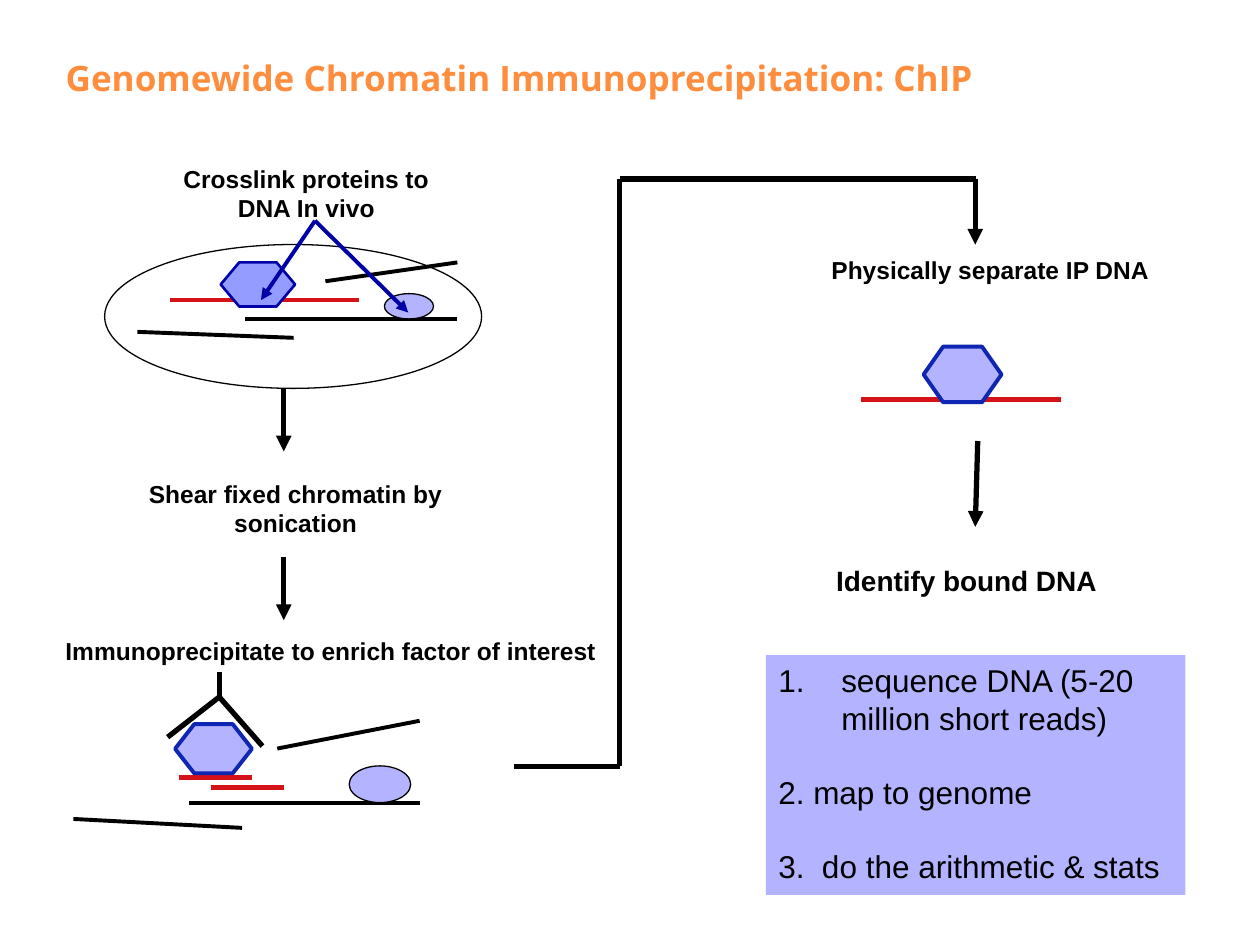
from lxml import etree
from pptx import Presentation
from pptx import util as u
from pptx.dml.color import RGBColor
from pptx.enum import shapes, text
from pptx.oxml.ns import qn

BLACK = RGBColor(0x00, 0x00, 0x00)
ORANGE = RGBColor(0xFF, 0x8D, 0x3E)
RED = RGBColor(0xD6, 0x12, 0x19)
LILAC = RGBColor(0xB3, 0xB3, 0xFF)
PERIWINKLE = RGBColor(0x95, 0x9C, 0xFF)
NAVY = RGBColor(0x00, 0x00, 0xA7)
BLUE = RGBColor(0x0F, 0x26, 0xB2)
HEXAGON = shapes.MSO_SHAPE.HEXAGON
OVAL = shapes.MSO_SHAPE.OVAL


def format_runs(para, size, font="Arial", color=BLACK, bold=False):
    """Give every run of a paragraph the same font."""
    for span in para.runs:
        span.font.name = font
        span.font.size = u.Pt(size)
        span.font.bold = bold
        span.font.color.rgb = color


def add_line(page, origin, start, end, color=BLACK, width=2.25, arrow=False):
    """Draw a straight line between two points relative to the origin."""
    left, top = origin
    line = page.shapes.add_connector(
        shapes.MSO_CONNECTOR.STRAIGHT,
        u.Cm(left + start[0]), u.Cm(top + start[1]),
        u.Cm(left + end[0]), u.Cm(top + end[1]))
    line.line.color.rgb = color
    line.line.width = u.Pt(width)
    properties = line.element.spPr
    if arrow:
        etree.SubElement(properties.find(qn("a:ln")), qn("a:tailEnd"), type="triangle")
    etree.SubElement(properties, qn("a:effectLst"))


def add_figure(page, origin, kind, box, fill=None, color=None, width=0.75, adjust=None):
    """Draw a preset shape in a box relative to the origin."""
    left, top, wide, high = box
    figure = page.shapes.add_shape(
        kind, u.Cm(origin[0] + left), u.Cm(origin[1] + top), u.Cm(wide), u.Cm(high))
    figure.shadow.inherit = False
    if adjust is not None:
        figure.adjustments[0] = adjust
    if fill is None:
        figure.fill.background()
    else:
        figure.fill.solid()
        figure.fill.fore_color.rgb = fill
    if color is None:
        figure.line.fill.background()
    else:
        figure.line.color.rgb = color
        figure.line.width = u.Pt(width)
    return figure


def add_label(page, origin, box, lines, size=14, align=text.PP_ALIGN.CENTER):
    """Write a bold step label, one paragraph for each line."""
    left, top, wide, high = box
    label = page.shapes.add_textbox(
        u.Cm(origin[0] + left), u.Cm(origin[1] + top), u.Cm(wide), u.Cm(high))
    frame = label.text_frame
    frame.word_wrap = False
    frame.text = "\n".join(lines)
    for para in frame.paragraphs:
        para.alignment = align
        format_runs(para, size, bold=True)


def add_title(page, box):
    """Place and fill the title placeholder."""
    title = page.shapes.title
    title.left, title.top, title.width, title.height = map(u.Cm, box)
    frame = title.text_frame
    frame.text = "Genomewide Chromatin Immunoprecipitation: ChIP"
    frame.vertical_anchor = text.MSO_ANCHOR.BOTTOM
    para = frame.paragraphs[0]
    para.alignment = text.PP_ALIGN.LEFT
    format_runs(para, 20, "Open Sans", ORANGE, True)


def add_crosslink(page, origin):
    """Draw the cell in which proteins are crosslinked to DNA."""
    add_line(page, origin, (1.32, 2.87), (5.13, 2.87), RED)
    add_figure(page, origin, HEXAGON, (2.34, 2.11, 1.5, 0.89), PERIWINKLE, NAVY, 1.5, 0.42)
    for start, end in (((2.82, 3.25), (7.11, 3.25)),
                       ((0.66, 3.51), (3.81, 3.63)),
                       ((4.45, 2.49), (7.11, 2.11))):
        add_line(page, origin, start, end)
    add_figure(page, origin, OVAL, (0, 1.75, 7.6, 2.9), color=BLACK)
    add_label(page, origin, (1.27, 0, 5.59, 1.45), ["Crosslink proteins to", "DNA In vivo"])
    add_figure(page, origin, OVAL, (5.64, 2.74, 0.99, 0.51), LILAC, BLACK)
    for protein in ((3.15, 2.87), (6.12, 3.12)):
        add_line(page, origin, (4.24, 1.27), protein, NAVY, arrow=True)
    add_line(page, origin, (3.61, 4.65), (3.61, 5.92), width=3, arrow=True)


def add_shear(page, origin):
    """Write the shearing step with its arrow."""
    add_label(page, origin, (0, 0, 8.1, 1.45), ["Shear fixed chromatin by", "sonication"])
    add_line(page, origin, (3.81, 1.7), (3.81, 2.97), width=3, arrow=True)


def add_immunoprecipitation(page, origin):
    """Draw the antibody on the bound factor among DNA fragments."""
    add_label(page, origin, (0, 0, 11.35, 0.94),
              ["Immunoprecipitate to enrich factor of interest"], align=text.PP_ALIGN.LEFT)
    for tip in ((2.31, 2.16), (4.22, 2.34), (3.35, 0.84)):
        add_line(page, origin, (3.35, 1.35), tip, width=3)
    for left, top in ((2.54, 2.97), (3.18, 3.18)):
        add_line(page, origin, (left, top), (left + 1.47, top), RED, 3)
    add_figure(page, origin, HEXAGON, (2.46, 1.9, 1.55, 0.99), LILAC, BLUE, 2.25, 0.39)
    for start, end in (((2.74, 3.48), (7.39, 3.48)),
                       ((0.41, 3.81), (3.81, 3.99)),
                       ((4.52, 2.39), (7.39, 1.83))):
        add_line(page, origin, start, end)
    add_figure(page, origin, OVAL, (5.97, 2.74, 1.24, 0.74), LILAC, BLACK)


def add_route(page, origin):
    """Draw the bent line from the left column to the right one."""
    corners = [(0, 11.84), (2.13, 11.84), (2.13, 0), (9.32, 0)]
    for start, end in zip(corners, corners[1:]):
        add_line(page, origin, start, end, width=3)


def add_separation(page, origin):
    """Draw the separated DNA with its bound factor."""
    add_line(page, origin, (3.15, 0), (3.15, 1.32), width=3, arrow=True)
    add_label(page, origin, (0, 1.4, 6.91, 0.84), ["Physically separate IP DNA"])
    add_line(page, origin, (0.84, 4.45), (4.88, 4.45), RED, 3)
    add_figure(page, origin, HEXAGON, (2.11, 3.38, 1.57, 1.12), LILAC, BLUE, 2.25, 0.35)


def add_identification(page, origin):
    """Write the identification step below its arrow."""
    add_line(page, origin, (3.12, 0), (3.07, 1.73), width=3, arrow=True)
    add_label(page, origin, (0, 2.34, 5.79, 0.94), ["Identify bound DNA"], 16)


def add_analysis(page, origin):
    """Write the numbered analysis steps on a filled panel."""
    panel = add_figure(page, origin, shapes.MSO_SHAPE.RECTANGLE, (0, 0, 8.46, 4.83), LILAC)
    frame = panel.text_frame
    frame.word_wrap = True
    frame.vertical_anchor = text.MSO_ANCHOR.TOP
    frame.text = "\n".join(["sequence DNA (5-20 million short reads)",
                            "2. map to genome",
                            "3.  do the arithmetic & stats"])
    for index, para in enumerate(frame.paragraphs):
        para.alignment = text.PP_ALIGN.LEFT
        para.space_before = u.Pt(20.7 if index else 0)
        format_runs(para, 18)
        properties = para._p.get_or_add_pPr()
        properties.set("marL", str(u.Cm(1.27)))
        properties.set("indent", str(-u.Cm(1.27)))
        if index == 0:
            etree.SubElement(properties, qn("a:buFont"), typeface="+mj-lt")
            etree.SubElement(properties, qn("a:buAutoNum"), type="arabicPeriod")
        else:
            etree.SubElement(properties, qn("a:buNone"))


def main():
    """Build the slide and save it."""
    deck = Presentation()
    deck.slide_width, deck.slide_height = u.Cm(25.4), u.Cm(19.05)
    page = deck.slides.add_slide(deck.slide_layouts[5])
    add_title(page, (1.07, 0.64, 24.33, 1.47))
    add_crosslink(page, (2.11, 3.18))
    add_shear(page, (1.91, 9.53))
    add_immunoprecipitation(page, (1.07, 12.7))
    add_route(page, (10.36, 3.61))
    add_separation(page, (16.51, 3.61))
    add_identification(page, (16.59, 8.89))
    add_analysis(page, (15.44, 13.21))
    deck.save("out.pptx")


if __name__ == "__main__":
    main()
